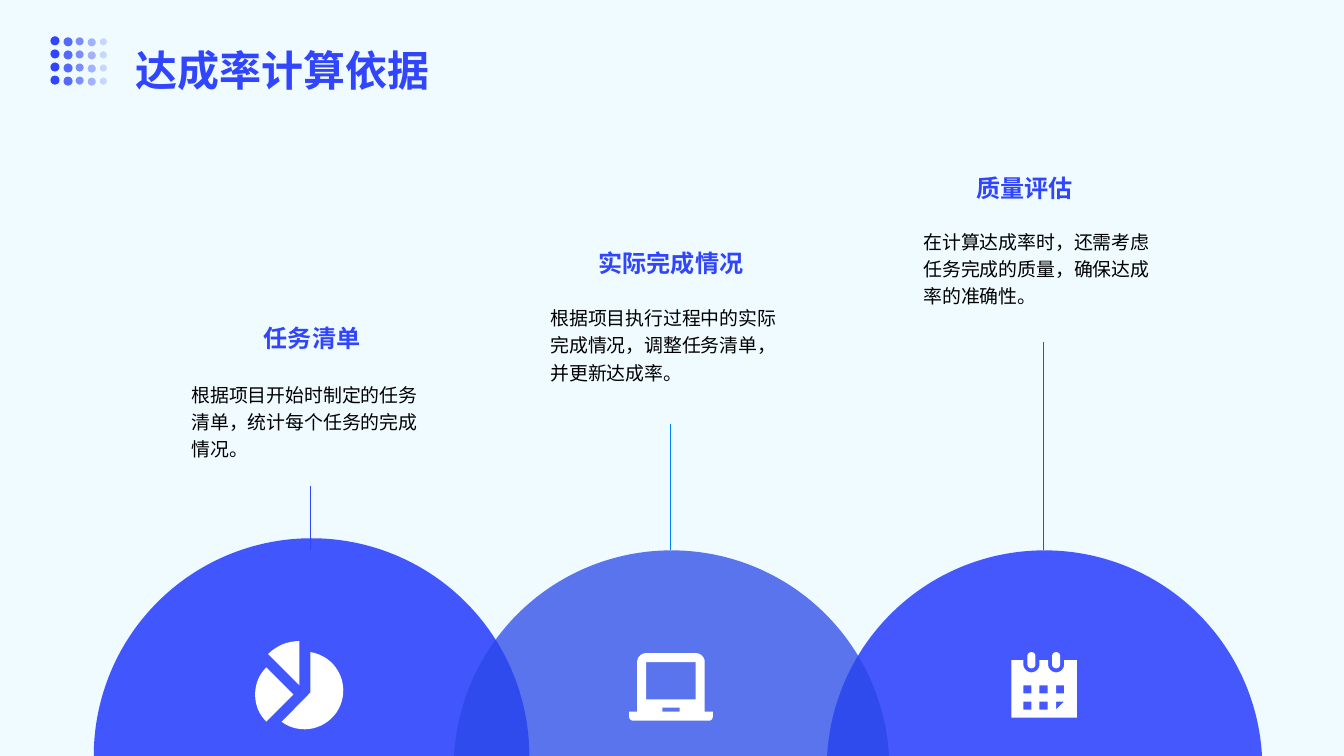
import math
from dataclasses import dataclass

import pptx
import pptx.dml.color
import pptx.enum.shapes
import pptx.enum.text
import pptx.oxml.ns
import pptx.util
from lxml import etree

Inches = pptx.util.Inches
Pt = pptx.util.Pt
qn = pptx.oxml.ns.qn
Point = tuple[float, float]
Contour = list[Point]

FONT = "Noto Sans CJK SC"
BLUE = "3045FD"
UNITS_PER_INCH = 1000
CENTER = pptx.enum.text.PP_ALIGN.CENTER

TITLE = {"size": Pt(30), "bold": True}
HEADING = {"size": Pt(17.2), "bold": True}
BODY = {"size": Pt(13.5), "bold": False}


@dataclass
class Step:
    heading: str
    body: str
    heading_box: tuple[float, float, float, float]
    body_box: tuple[float, float, float, float]
    stem: tuple[float, float]
    stem_color: str


@dataclass
class Circle:
    left: float
    top: float
    color: str
    alpha: int


@dataclass
class DotColumn:
    left: float
    top: float
    size: float
    alpha: int


STEPS = [
    Step("任务清单", "根据项目开始时制定的任务清单，统计每个任务的完成情况。",
         (1.51, 3.21, 3.17, 0.41), (1.78, 3.7, 2.62, 0.97), (3.08, 4.82), BLUE),
    Step("实际完成情况", "根据项目执行过程中的实际完成情况，调整任务清单，并更新达成率。",
         (5.07, 2.47, 3.17, 0.41), (5.34, 2.94, 2.62, 0.97), (6.65, 4.21), "0085FF"),
    Step("质量评估", "在计算达成率时，还需考虑任务完成的质量，确保达成率的准确性。",
         (8.77, 1.72, 2.78, 0.41), (9.04, 2.18, 2.62, 0.97), (10.35, 3.39), BLUE),
]
CIRCLES = [
    Circle(0.93, 5.34, BLUE, 90),
    Circle(8.2, 5.46, BLUE, 89),
    Circle(4.5, 5.46, "2947E8", 75),
]
DOT_COLUMNS = [
    DotColumn(0.5, 0.36, 0.09, 100),
    DotColumn(0.63, 0.37, 0.09, 80),
    DotColumn(0.75, 0.37, 0.08, 60),
    DotColumn(0.87, 0.38, 0.08, 40),
    DotColumn(0.99, 0.38, 0.07, 20),
]
DOT_ROWS = 4
DOT_PITCH = 0.13


def rgb(value: str) -> pptx.dml.color.RGBColor:
    return pptx.dml.color.RGBColor.from_string(value)


def paint(sp, color: str, alpha: int = 100) -> None:
    sp.shadow.inherit = False
    sp.fill.solid()
    sp.fill.fore_color.rgb = rgb(color)
    sp.line.fill.background()
    if alpha < 100:
        clr = sp.fill._xPr.find(qn("a:solidFill"))[0]
        etree.SubElement(clr, qn("a:alpha"), val=str(alpha * 1000))


def add_circle(shapes, left: float, top: float, size: float, color: str, alpha: int) -> None:
    sp = shapes.add_shape(pptx.enum.shapes.MSO_SHAPE.OVAL,
                          Inches(left), Inches(top), Inches(size), Inches(size))
    paint(sp, color, alpha)


def add_text(shapes, text: str, box: tuple, insets: tuple, color: str,
             font: dict, paragraph: dict) -> None:
    tf = shapes.add_textbox(*map(Inches, box)).text_frame
    sides = ("margin_left", "margin_top", "margin_right", "margin_bottom")
    frame = dict(zip(sides, map(Inches, insets)))
    frame["word_wrap"] = True
    frame["auto_size"] = pptx.enum.text.MSO_AUTO_SIZE.SHAPE_TO_FIT_TEXT
    p = tf.paragraphs[0]
    r = p.add_run()
    r.text = text
    for target, values in ((tf, frame), (p, paragraph), (r.font, {"name": FONT, **font})):
        for name, value in values.items():
            setattr(target, name, value)
    r.font.color.rgb = rgb(color)
    etree.SubElement(r._r.get_or_add_rPr(), qn("a:ea"), typeface=FONT)


def add_stem(shapes, x: float, top: float, bottom: float, color: str) -> None:
    line = shapes.add_connector(pptx.enum.shapes.MSO_CONNECTOR.STRAIGHT,
                                Inches(x), Inches(bottom), Inches(x), Inches(top))
    line.line.color.rgb = rgb(color)
    line.line.width = Pt(0.75)
    etree.SubElement(line._element.spPr, qn("a:effectLst"))


def arc(cx: float, cy: float, radius: float, start: float, end: float) -> Contour:
    steps = max(4, round(abs(end - start) / 6))
    angles = [math.radians(start + (end - start) * i / steps) for i in range(steps + 1)]
    return [(cx + radius * math.cos(a), cy + radius * math.sin(a)) for a in angles]


def rect(left: float, top: float, right: float, bottom: float) -> Contour:
    return [(left, top), (right, top), (right, bottom), (left, bottom)]


def add_icon(shapes, contours: list[Contour]) -> None:
    scaled = [[(x * UNITS_PER_INCH, y * UNITS_PER_INCH) for x, y in c] for c in contours]
    builder = shapes.build_freeform(*scaled[0][0], scale=Inches(1) / UNITS_PER_INCH)
    for i, contour in enumerate(scaled):
        if i:
            builder.move_to(*contour[0])
        builder.add_line_segments(contour[1:], close=True)
    paint(builder.convert_to_shape(), "FFFFFF")


def pie_icon() -> list[Contour]:
    return [
        [(2.91, 6.89)] + arc(2.91, 6.89, 0.38, 135, 225),
        [(3.08, 6.87)] + arc(3.02, 6.85, 0.385, -81, 126),
        [(2.97, 6.8)] + arc(2.97, 6.8, 0.44, -135, -90),
    ]


def laptop_icon() -> list[Contour]:
    base = arc(7.03, 7.11, 0.04, 0, 90) + arc(6.28, 7.11, 0.04, 90, 180)
    lid = arc(6.41, 6.57, 0.09, 180, 270) + arc(6.9, 6.57, 0.09, 270, 360)
    return [
        base + [(6.24, 7.06), (6.32, 7.06)] + lid + [(6.99, 7.06), (7.07, 7.06)],
        rect(6.41, 6.57, 6.9, 6.94),
        rect(6.57, 7.02, 6.74, 7.06),
    ]


def calendar_icon() -> list[Contour]:
    page = [(10.03, 6.55)]
    rings = []
    for x in (10.23, 10.475):
        page += [(x - 0.08, 6.55)] + arc(x, 6.59, 0.08, 180, 0) + [(x + 0.08, 6.55)]
        rings.append(arc(x, 6.51, 0.04, 180, 360) + arc(x, 6.59, 0.04, 0, 180))
    page += [(10.68, 6.55), (10.68, 7.12), (10.03, 7.12)]
    days = [rect(x, y, x + 0.08, y + 0.08)
            for y in (6.8, 6.96) for x in (10.15, 10.31, 10.475)]
    days[-1].pop(2)
    return [page] + days + rings


def main() -> None:
    prs = pptx.Presentation()
    prs.slide_width, prs.slide_height = Inches(13.33), Inches(7.5)
    s = prs.slides.add_slide(prs.slide_layouts[6])
    s.background.fill.solid()
    s.background.fill.fore_color.rgb = rgb("EFFBFF")

    for c in CIRCLES:
        add_circle(s.shapes, c.left, c.top, 4.32, c.color, c.alpha)
    for step in STEPS:
        add_stem(s.shapes, *step.stem, 5.46, step.stem_color)
        insets = (0.12, 0.06, 0.12, 0.06)
        add_text(s.shapes, step.body, step.body_box, insets, "000000",
                 BODY, {"line_spacing": 1.2})
        add_text(s.shapes, step.heading, step.heading_box, insets, BLUE,
                 HEADING, {"line_spacing": 0.77, "alignment": CENTER})
    for contours in (pie_icon(), laptop_icon(), calendar_icon()):
        add_icon(s.shapes, contours)

    header = s.shapes.add_group_shape().shapes
    for row in range(DOT_ROWS):
        for d in DOT_COLUMNS:
            add_circle(header, d.left, d.top + row * DOT_PITCH, d.size, BLUE, d.alpha)
    add_text(header, "达成率计算依据", (1.2, 0.1, 10.94, 1), (0.14, 0.14, 0.06, 0.14), BLUE,
             TITLE, {"line_spacing": 1.4})
    prs.save("out.pptx")


if __name__ == "__main__":
    main()
